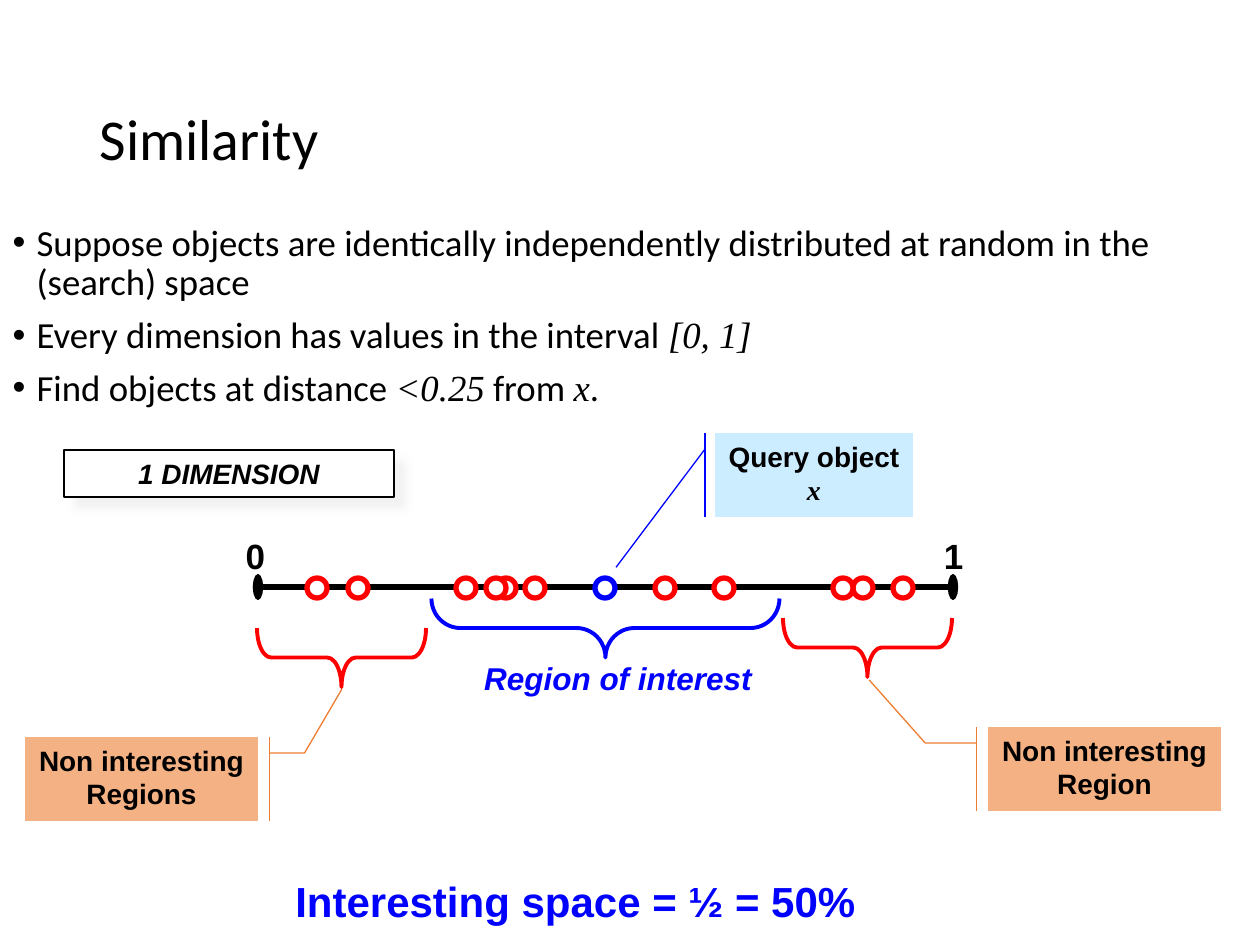
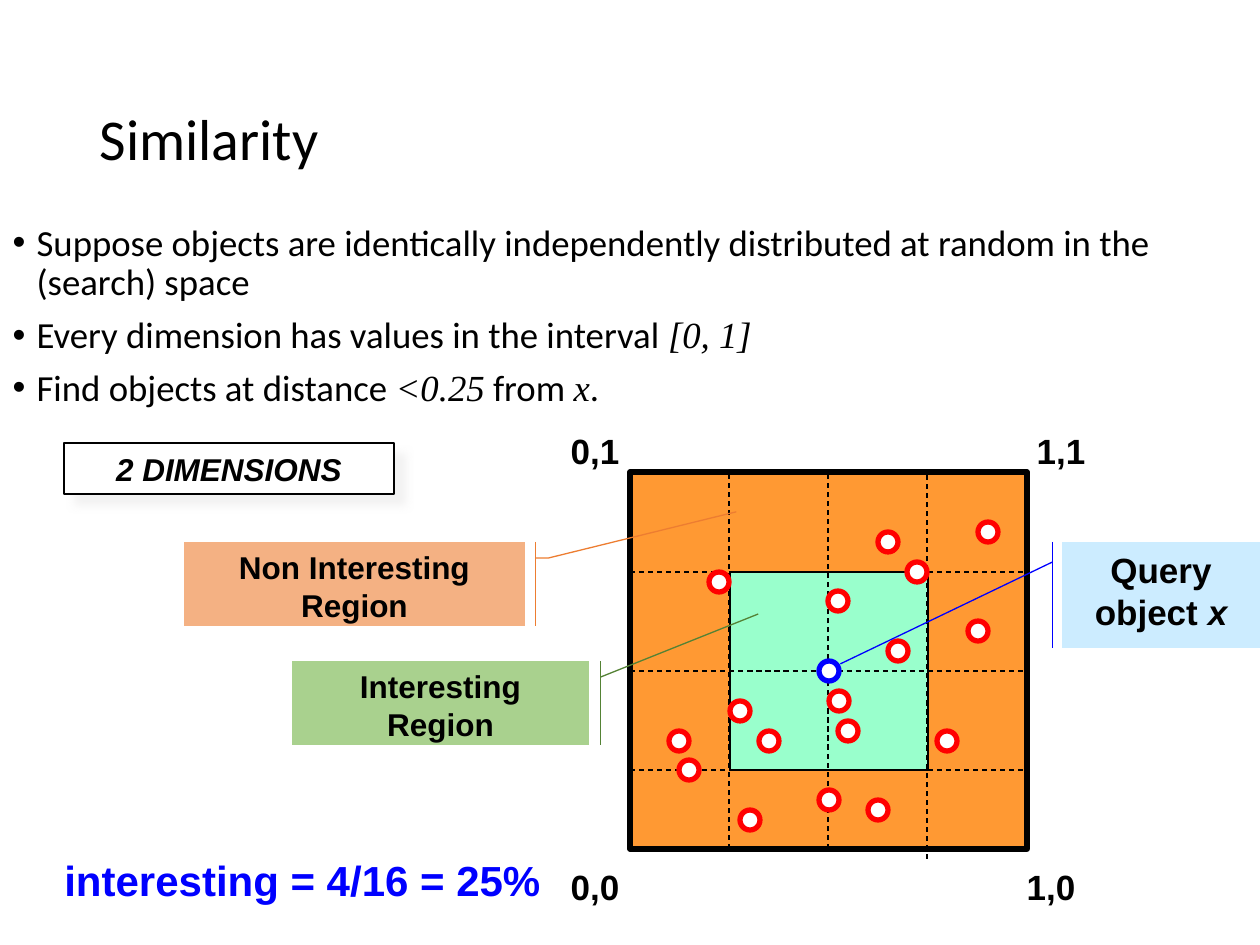
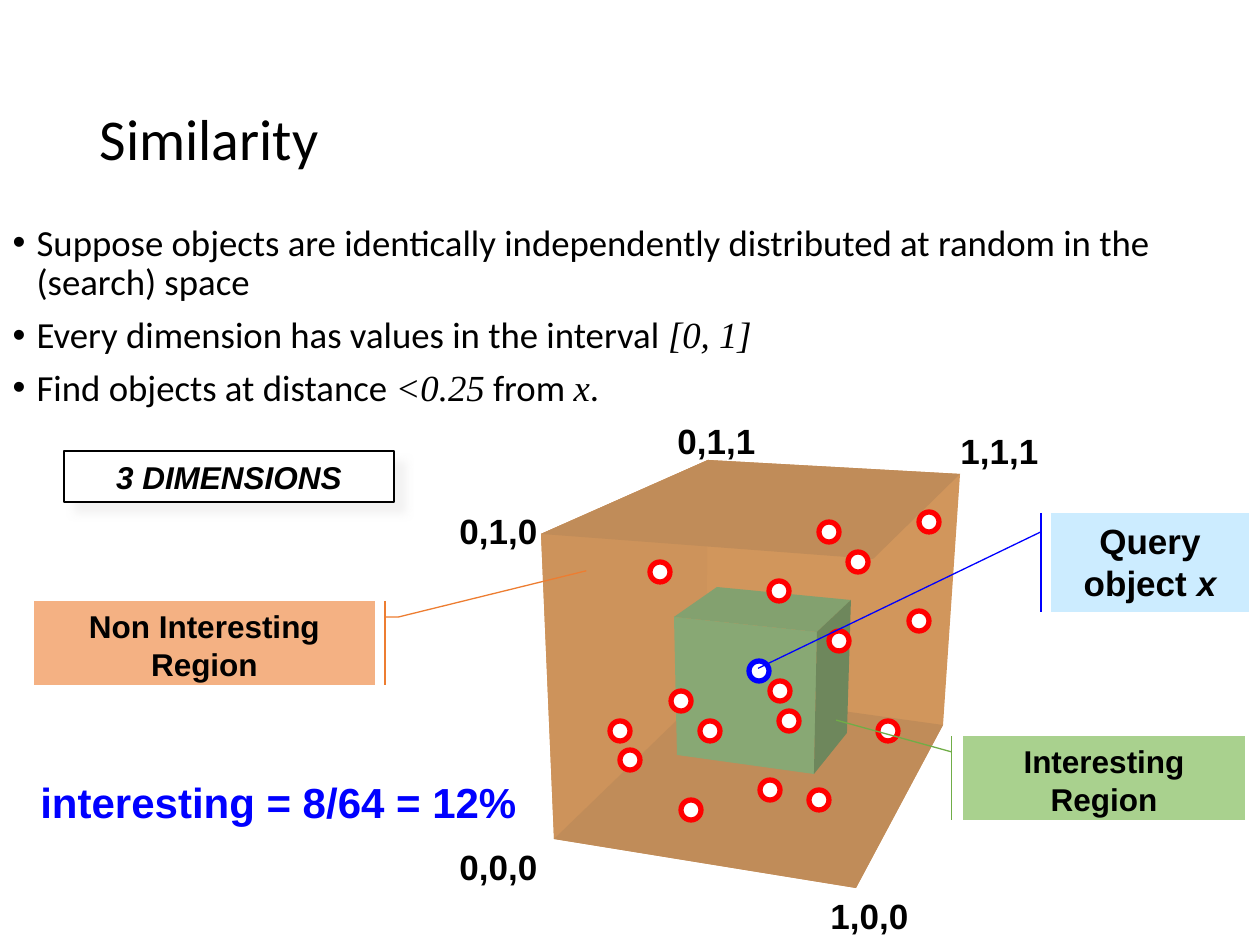
"""Build three slides on similarity search in one, two and three dimensions."""
import pptx
import pptx.util
import pptx.dml.color
import pptx.enum.dml
import pptx.enum.shapes
import pptx.enum.text
import pptx.oxml
import pptx.oxml.ns
import lxml.etree

UNIT = 914400 / 126
BLACK, WHITE, RED, BLUE = "000000", "FFFFFF", "FF0000", "0000FF"
SKY, PEACH, RUST, LEAF, ORANGE = "CCECFF", "F4B183", "ED7D31", "A9D18E", "FF9933"
SERIF = "Times New Roman"
SIDE = 20
rgb = pptx.dml.color.RGBColor.from_string
kinds = pptx.enum.shapes.MSO_SHAPE
anchors = pptx.enum.text.MSO_ANCHOR
aligns = pptx.enum.text.PP_ALIGN
fits = pptx.enum.text.MSO_AUTO_SIZE
qn = pptx.oxml.ns.qn


def write(para, text, size=16, color=BLACK, font="Arial", bold=True, slant=False, align=aligns.CENTER):
    para.alignment = align
    run = para.add_run()
    run.text = text
    run.font.size = pptx.util.Pt(size)
    run.font.name = font
    run.font.bold = bold
    run.font.italic = slant
    run.font.color.rgb = rgb(color)


def draw(slide, kind, at, fill=None, line=None, width=0.75, adjust=(), turn=0):
    shape = slide.shapes.add_shape(kind, *[round(n * UNIT) for n in at])
    shape.shadow.inherit = False
    shape.rotation = turn
    for i, value in enumerate(adjust):
        shape.adjustments[i] = value
    if fill:
        shape.fill.solid()
        shape.fill.fore_color.rgb = rgb(fill)
    else:
        shape.fill.background()
    if line:
        shape.line.color.rgb = rgb(line)
        shape.line.width = pptx.util.Pt(width)
    else:
        shape.line.fill.background()
    return shape


deck = pptx.Presentation()
deck.slide_width, deck.slide_height = round(1260 * UNIT), round(945 * UNIT)

points = [
    [("Suppose objects are identically independently distributed at random in the (search) space", False)],
    [("Every dimension has values in the interval ", False), ("[0, 1]", True)],
    [("Find objects at distance ", False), ("<0.25", True), (" from ", False), ("x", True), (".", False)],
]
for page in range(3):
    slide = deck.slides.add_slide(deck.slide_layouts[1])
    title, body = slide.placeholders
    for holder, at in ((title, (87, 50, 1086, 183)), (body, (0, 218, 1260, 241))):
        holder.left, holder.top, holder.width, holder.height = [round(n * UNIT) for n in at]
        holder.text_frame.auto_size = fits.NONE
    title.text_frame.vertical_anchor = anchors.MIDDLE
    head = title.text_frame.paragraphs[0]
    head.line_spacing = 0.9
    write(head, "Similarity", size=33, font="Calibri", bold=False, align=aligns.LEFT)
    for i, parts in enumerate(points):
        para = body.text_frame.add_paragraph() if i else body.text_frame.paragraphs[0]
        para.line_spacing = 0.9
        para.space_before = pptx.util.Pt(7.5)
        props = para._p.get_or_add_pPr()
        props.set("marL", str(round(24 * UNIT)))
        props.set("indent", str(round(-24 * UNIT)))
        for text, math in parts:
            write(para, text, size=21, font=SERIF if math else "Calibri", bold=False, slant=math, align=aligns.LEFT)
one, two, three = deck.slides

# lines: slide, from, to, width, dashed
lines = [(one, 258, 587, 953, 587, 3, False)]
lines += [(two, 630, 473 + 99 * i, 1027, 473 + 99 * i, 0.75, True) for i in (1, 2, 3)]
lines += [(two, 630 + 99 * i, 859 if i == 3 else 849, 630 + 99 * i, 472, 0.75, True) for i in (1, 2, 3)]

for at in ((928, 472, 99, 377), (630, 472, 99, 377), (630, 750, 397, 99), (630, 472, 397, 99)):
    draw(two, kinds.RECTANGLE, at, ORANGE)
draw(two, kinds.RECTANGLE, (730, 572, 198, 198), "99FFCC", BLACK)

faces = [
    ("D1965C", [(541, 534), (708, 460), (960, 474), (943, 725), (856, 888), (554, 839)]),
    ("CD935B", [(541, 534), (708, 460), (706, 692), (554, 839)]),
    ("C08C59", [(541, 534), (708, 460), (960, 474), (873, 559)]),
    ("C08C59", [(554, 839), (706, 692), (943, 725), (856, 888)]),
    ("88A874", [(674, 617), (817, 632), (814, 774), (677, 755)]),
    ("83A16F", [(674, 617), (717, 587), (851, 600), (817, 632)]),
    ("6E875C", [(817, 632), (851, 600), (847, 733), (814, 774)]),
]
for color, spots in faces:
    pen = three.shapes.build_freeform(*spots[0], scale=UNIT)
    pen.add_line_segments(spots[1:], close=True)
    face = pen.convert_to_shape()
    face.shadow.inherit = False
    face.fill.solid()
    face.fill.fore_color.rgb = rgb(color)
    face.line.fill.background()

for slide, left, top, right, low, width, dashed in lines:
    line = slide.shapes.add_connector(
        pptx.enum.shapes.MSO_CONNECTOR.STRAIGHT, *[round(n * UNIT) for n in (left, top, right, low)])
    line.line.color.rgb = rgb(BLACK)
    line.line.width = pptx.util.Pt(width)
    if dashed:
        line.line.dash_style = pptx.enum.dml.MSO_LINE.DASH
    else:
        for end in ("a:headEnd", "a:tailEnd"):
            lxml.etree.SubElement(line.line._ln, qn(end), type="oval", w="lg", len="sm")
    lxml.etree.SubElement(line._element.spPr, qn("a:effectLst"))

cloud = [(709, 572), (888, 641), (868, 800), (838, 721), (828, 591), (907, 562), (937, 731), (878, 532), (968, 621),
         (978, 522), (669, 731), (740, 810), (679, 760), (759, 731), (730, 701), (819, 790), (829, 691)]
dots = [(one, x, 578, RED) for x in (307, 348, 456, 496, 486, 525, 655, 714, 853, 893, 833)]
dots += [(two, x, y, RED) for x, y in cloud]
dots += [(three, x - 59, y - 10, RED) for x, y in cloud]
dots += [(one, 595, 578, BLUE), (two, 819, 661, BLUE), (three, 749, 661, BLUE)]
for slide, x, y, color in dots:
    draw(slide, kinds.OVAL, (x, y, SIDE, SIDE), WHITE, color, 3)

draw(two, kinds.RECTANGLE, (630, 472, 397, 377), line=BLACK, width=3)
for at, color, bend in (((576, 454, 59, 348), BLUE, 0.49), ((838, 563, 59, 169), RED, 0.24),
                        ((312, 573, 59, 169), RED, 0.24)):
    draw(one, kinds.LEFT_BRACE, at, line=color, width=2.25, adjust=(bend, 0.5), turn=270)

bar = kinds.LINE_CALLOUT_1_ACCENT_BAR
bent = kinds.LINE_CALLOUT_2_ACCENT_BAR
away = (0.19, 1.03, 0.19, 1.07, -0.36, 1.62)
notes = [
    (one, bar, (715, 433, 198, 84), SKY, BLUE, (0.19, -0.05, 1.6, -0.5), 16, "Query object ", SERIF),
    (one, bent, (25, 737, 233, 84), PEACH, RUST, (0.19, 1.05, 0.19, 1.2, -0.57, 1.36), 16,
     "Non interesting Regions", None),
    (one, bent, (988, 727, 233, 84), PEACH, RUST, (0.19, -0.05, 0.19, -0.27, -0.56, -0.51), 16,
     "Non interesting Region", None),
    (two, bar, (1062, 542, 198, 106), SKY, BLUE, (0.19, -0.05, 1.15, -1.12), 20, "Query object ", "Arial"),
    (two, bent, (184, 542, 341, 84), PEACH, RUST, away, 18, "Non Interesting Region", None),
    (two, bar, (292, 661, 297, 84), LEAF, "548235", (0.19, 1.04, -0.56, 1.57), 18, "Interesting Region", None),
    (three, bar, (963, 736, 282, 84), LEAF, "70AD47", (0.19, -0.04, -0.19, -0.45), 18, "Interesting Region", None),
    (three, bar, (1051, 513, 198, 99), SKY, BLUE, (0.19, -0.05, 1.57, -1.48), 20, "Query object ", "Arial"),
    (three, bent, (34, 601, 341, 84), PEACH, RUST, away, 18, "Non Interesting Region", None),
]
for slide, kind, at, fill, line, adjust, size, text, font in notes:
    note = draw(slide, kind, at, fill, line, adjust=adjust)
    note.text_frame.vertical_anchor = anchors.TOP
    para = note.text_frame.paragraphs[0]
    write(para, text, size=size)
    if font:
        write(para, "x", size=size, font=font, slant=True)

shade = ('<a:outerShdw %s blurRad="63500" dist="107950" dir="2700000" algn="tl" rotWithShape="0">'
         '<a:srgbClr val="E7E6E6"><a:alpha val="50000"/></a:srgbClr></a:outerShdw>' % pptx.oxml.ns.nsdecls("a"))
for slide, top, high, size, text in ((one, 450, 47, 16, "1 DIMENSION"), (two, 443, 51, 18, "2 DIMENSIONS"),
                                     (three, 451, 51, 18, "3 DIMENSIONS")):
    tag = draw(slide, kinds.RECTANGLE, (64, top, 330, high), WHITE, BLACK)
    tag._element.spPr.find(qn("a:effectLst")).append(pptx.oxml.parse_xml(shade))
    write(tag.text_frame.paragraphs[0], text, size=size, slant=True)

labels = [
    (one, (233, 528, 45, 55), "0", 20, BLACK, False),
    (one, (931, 528, 45, 55), "1", 20, BLACK, False),
    (one, (470, 653, 296, 50), "Region of interest", 18, BLUE, True),
    (one, (280, 869, 591, 63), "Interesting space = ½ = 50%", 24, BLUE, False),
    (two, (49, 848, 507, 63), "interesting = 4/16 = 25%", 24, BLUE, False),
    (three, (25, 770, 507, 63), "interesting = 8/64 = 12%", 24, BLUE, False),
]
labels += [(two, (x, y, 74, 55), text, 20, BLACK, False) for x, y, text in (
    (558, 859, "0,0"), (1014, 859, "1,0"), (1024, 423, "1,1"), (558, 423, "0,1"))]
labels += [(three, (x, y, 103, 55), text, 20, BLACK, False) for x, y, text in (
    (447, 839, "0,0,0"), (818, 888, "1,0,0"), (447, 503, "0,1,0"), (665, 413, "0,1,1"), (948, 423, "1,1,1"))]
for slide, at, text, size, color, slant in labels:
    label = slide.shapes.add_textbox(*[round(n * UNIT) for n in at])
    label.text_frame.word_wrap = False
    label.text_frame.auto_size = fits.SHAPE_TO_FIT_TEXT
    write(label.text_frame.paragraphs[0], text, size=size, color=color, slant=slant)

deck.save("out.pptx")
